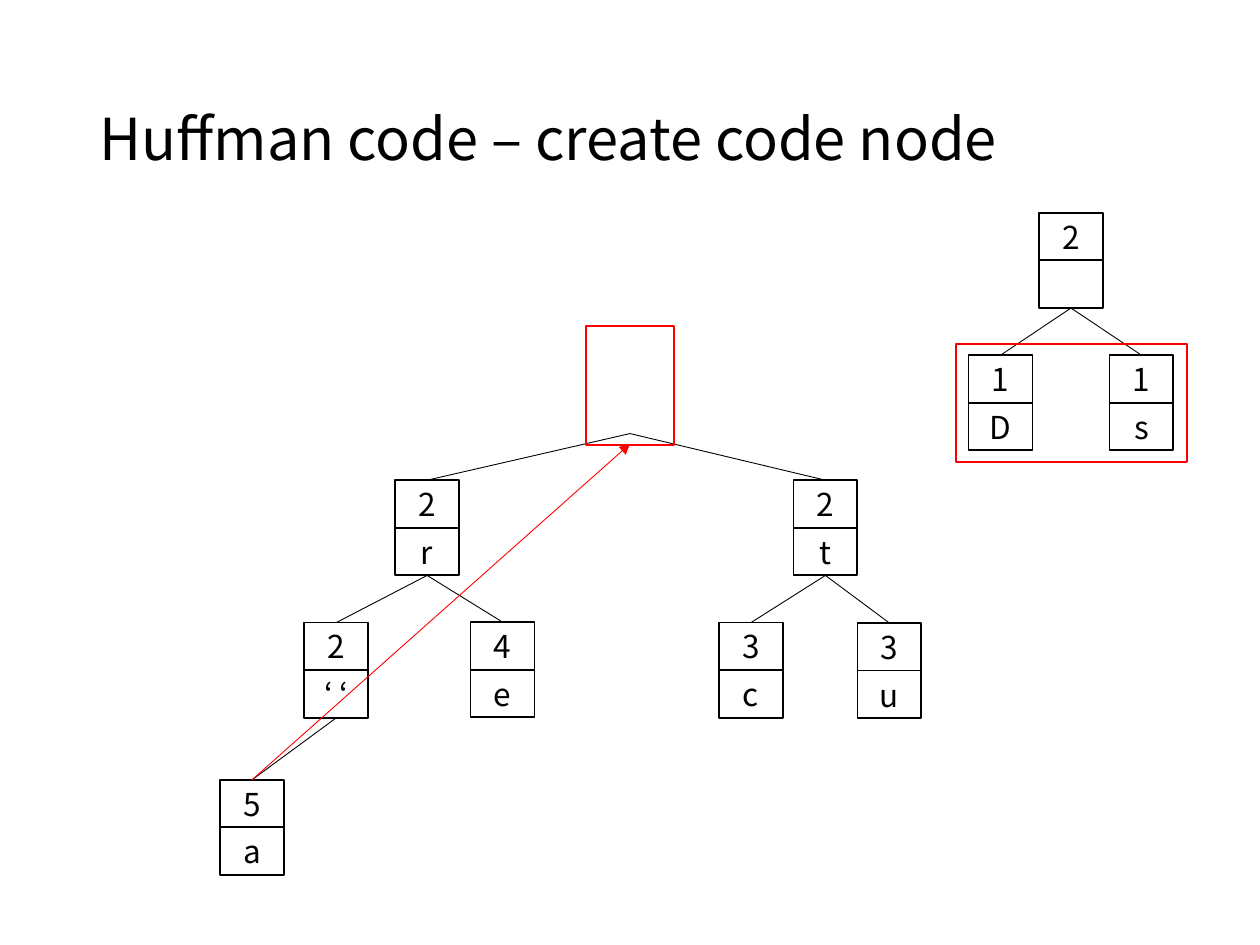
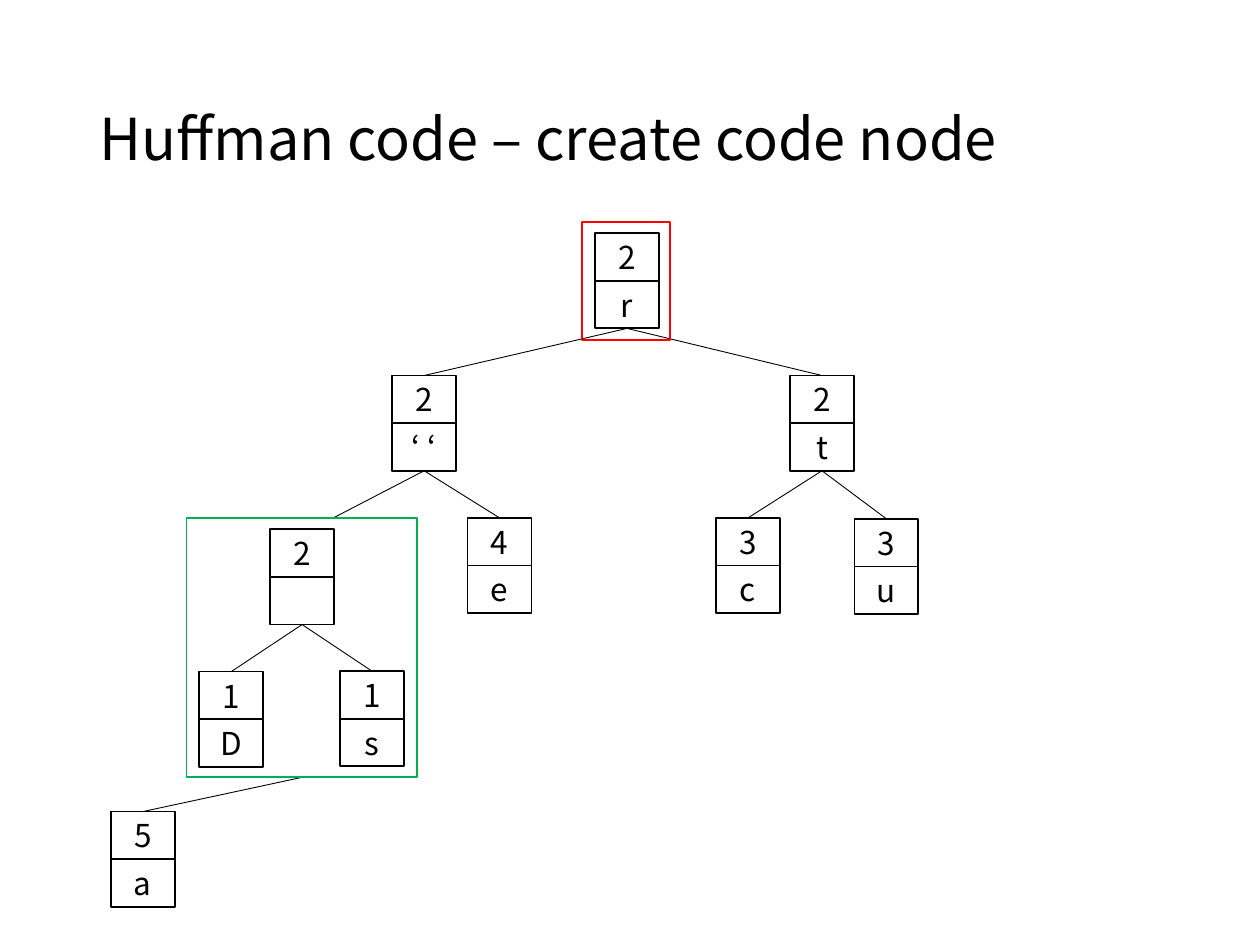
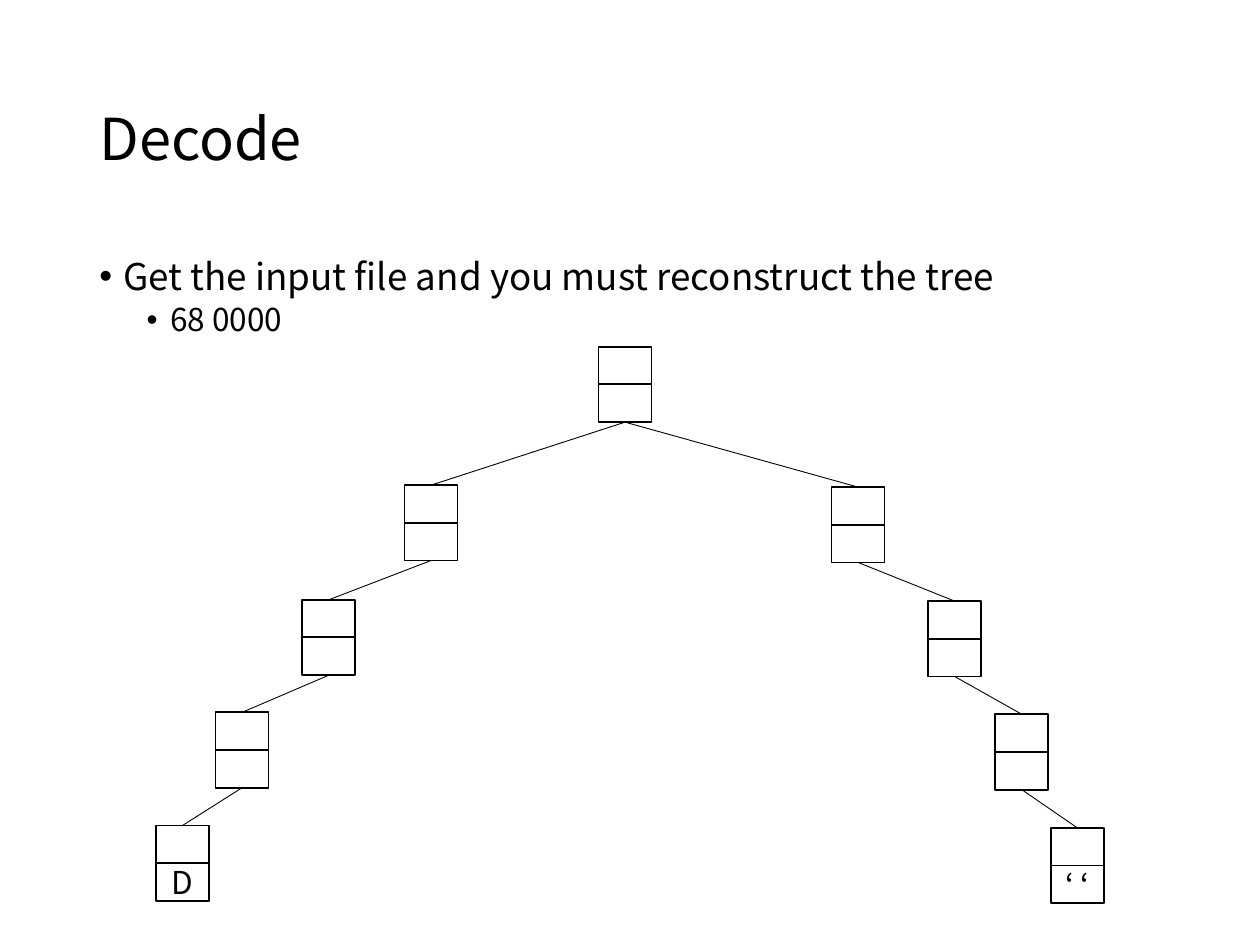
import pptx
import pptx.dml.color
import pptx.enum.shapes
import pptx.enum.text
import pptx.oxml.ns
import pptx.util
from lxml import etree

Cm = pptx.util.Cm
Pt = pptx.util.Pt
qn = pptx.oxml.ns.qn
RECTANGLE = pptx.enum.shapes.MSO_SHAPE.RECTANGLE
BLACK = pptx.dml.color.RGBColor(0x00, 0x00, 0x00)
WHITE = pptx.dml.color.RGBColor(0xFF, 0xFF, 0xFF)
RED = pptx.dml.color.RGBColor(0xFF, 0x00, 0x00)
GREEN = pptx.dml.color.RGBColor(0x00, 0xB0, 0x50)
FONT = "Noto Sans CJK KR"


def add_line(slide, start, end, color=BLACK):
    line = slide.shapes.add_connector(
        pptx.enum.shapes.MSO_CONNECTOR.STRAIGHT, *[Cm(value) for value in start + end])
    line.line.color.rgb = color
    line.line.width = Pt(0.5)
    etree.SubElement(line._element.spPr, qn("a:effectLst"))
    return line


def add_tree(slide, nodes, edges, width, height):
    for center, top, *labels in nodes.values():
        for row, label in enumerate(labels):
            cell = slide.shapes.add_shape(
                RECTANGLE, Cm(center - width / 2), Cm(top + row * height), Cm(width), Cm(height))
            cell.shadow.inherit = False
            cell.fill.solid()
            cell.fill.fore_color.rgb = WHITE
            cell.line.color.rgb = BLACK
            cell.line.width = Pt(1)
            if label:
                frame = cell.text_frame
                frame.margin_left = frame.margin_right = 0
                frame.margin_top = frame.margin_bottom = 0
                frame.vertical_anchor = pptx.enum.text.MSO_ANCHOR.MIDDLE
                frame.paragraphs[0].alignment = pptx.enum.text.PP_ALIGN.CENTER
                run = frame.paragraphs[0].add_run()
                run.text = label
                run.font.name = FONT
                run.font.size = Pt(18)
                run.font.color.rgb = BLACK
    for parent, child in edges:
        add_line(slide, (nodes[parent][0], nodes[parent][1] + 2 * height), nodes[child][:2])


deck = pptx.Presentation()
deck.slide_width = Cm(25.4)
deck.slide_height = Cm(19.05)

slides = []
for heading, layout in [
    ("Huffman code – create code node", 5),
    ("Huffman code – create code node", 5),
    ("Decode", 1),
]:
    slide = deck.slides.add_slide(deck.slide_layouts[layout])
    title = slide.shapes.title
    title.left, title.top, title.width, title.height = Cm(1.75), Cm(1.02), Cm(21.9), Cm(3.68)
    title.text_frame.auto_size = pptx.enum.text.MSO_AUTO_SIZE.NONE
    title.text_frame.vertical_anchor = pptx.enum.text.MSO_ANCHOR.MIDDLE
    paragraph = title.text_frame.paragraphs[0]
    paragraph.alignment = pptx.enum.text.PP_ALIGN.LEFT
    paragraph.line_spacing = 0.9
    run = paragraph.add_run()
    run.text = heading
    run.font.name = FONT
    run.font.size = Pt(33)
    run.font.color.rgb = BLACK
    slides.append(slide)
removal, promotion, decoding = slides

removal_nodes = {
    "r": (8.61, 9.68, "2", "r"),
    "t": (16.64, 9.68, "2", "t"),
    "space": (6.78, 12.55, "2", "‘ ‘"),
    "e": (10.13, 12.54, "4", "e"),
    "c": (15.14, 12.55, "3", "c"),
    "u": (17.93, 12.56, "3", "u"),
    "a": (5.08, 15.72, "5", "a"),
    "code": (21.59, 4.29, "2", ""),
    "D": (20.17, 7.16, "1", "D"),
    "s": (23.01, 7.16, "1", "s"),
}
add_tree(removal, removal_nodes, [
    ("r", "space"), ("r", "e"), ("t", "c"), ("t", "u"),
    ("space", "a"), ("code", "D"), ("code", "s"),
], 1.29, 0.96)
for child in "rt":
    add_line(removal, (12.7, 8.74), removal_nodes[child][:2])
move_to_root = add_line(removal, removal_nodes["a"][:2], (12.7, 8.95), RED)
etree.SubElement(move_to_root.line._get_or_add_ln(), qn("a:tailEnd"), type="triangle")

promotion_nodes = {
    "r": (12.64, 4.7, "2", "r"),
    "space": (8.55, 7.57, "2", "‘ ‘"),
    "t": (16.57, 7.57, "2", "t"),
    "e": (10.07, 10.44, "4", "e"),
    "c": (15.08, 10.44, "3", "c"),
    "u": (17.87, 10.46, "3", "u"),
    "code": (6.09, 10.67, "2", ""),
    "D": (4.66, 13.54, "1", "D"),
    "s": (7.5, 13.53, "1", "s"),
    "a": (2.88, 16.36, "5", "a"),
}
add_tree(promotion, promotion_nodes, [
    ("r", "space"), ("r", "t"), ("space", "e"), ("t", "c"), ("t", "u"),
    ("code", "D"), ("code", "s"),
], 1.29, 0.96)
add_line(promotion, (8.55, 9.49), (6.72, 10.44))
add_line(promotion, (6.09, 15.67), promotion_nodes["a"][:2])

for slide, left, top, width, height, color in [
    (removal, 11.81, 6.58, 1.78, 2.39, RED),
    (removal, 19.28, 6.93, 4.65, 2.39, RED),
    (promotion, 3.76, 10.44, 4.65, 5.23, GREEN),
    (promotion, 11.73, 4.47, 1.78, 2.39, RED),
]:
    highlight = slide.shapes.add_shape(RECTANGLE, Cm(left), Cm(top), Cm(width), Cm(height))
    highlight.shadow.inherit = False
    highlight.fill.background()
    highlight.line.color.rgb = color
    highlight.line.width = Pt(1)

steps = decoding.placeholders[1]
steps.left, steps.top, steps.width, steps.height = Cm(1.75), Cm(5.08), Cm(21.9), Cm(12.09)
steps.text_frame.auto_size = pptx.enum.text.MSO_AUTO_SIZE.NONE
for level, (step, size, indent, before) in enumerate([
    ("Get the input file and you must reconstruct the tree", 21, 0.48, 0),
    ("68 0000", 18, 1.43, 3.8),
]):
    paragraph = steps.text_frame.add_paragraph() if level else steps.text_frame.paragraphs[0]
    paragraph.level = level
    properties = paragraph._p.get_or_add_pPr()
    properties.set("marL", str(Cm(indent)))
    properties.set("indent", str(Cm(-0.48)))
    etree.SubElement(properties, qn("a:buChar"), char="•")
    paragraph.line_spacing = 0.9
    paragraph.space_before = Pt(before)
    run = paragraph.add_run()
    run.text = step
    run.font.name = FONT
    run.font.size = Pt(size)
    run.font.color.rgb = BLACK

add_tree(decoding, {
    "root": (12.6, 6.99, "", ""),
    "0": (8.69, 9.78, "", ""),
    "00": (6.63, 12.09, "", ""),
    "000": (4.88, 14.36, "", ""),
    "0000": (3.68, 16.64, "", "D"),
    "1": (17.3, 9.82, "", ""),
    "11": (19.25, 12.12, "", ""),
    "111": (20.6, 14.4, "", ""),
    "1111": (21.72, 16.69, "", "‘ ‘"),
}, [
    ("root", "0"), ("0", "00"), ("00", "000"), ("000", "0000"),
    ("root", "1"), ("1", "11"), ("11", "111"), ("111", "1111"),
], 1.07, 0.76)

deck.save("out.pptx")
